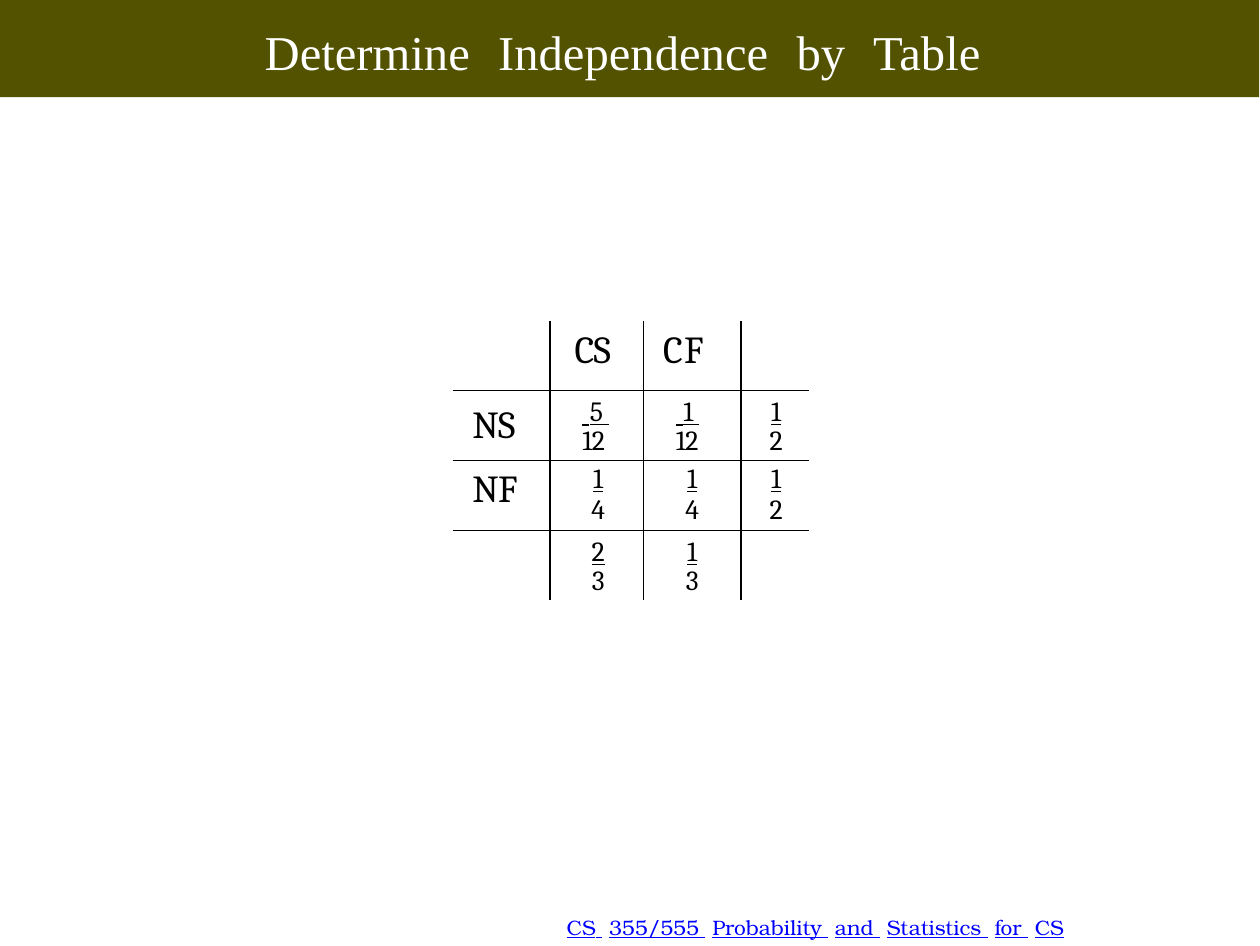
from lxml.etree import SubElement
from pptx import Presentation
from pptx.dml.color import RGBColor
from pptx.enum.shapes import MSO_SHAPE
from pptx.enum.text import MSO_ANCHOR, MSO_AUTO_SIZE, PP_ALIGN
from pptx.oxml.ns import qn
from pptx.util import Cm, Pt

OLIVE, WHITE, BLACK, BLUE = "525200", "FFFFFF", "000000", "0000FF"
SERIF, BODY, FOOT = "Times New Roman", "Cambria", "TeX Gyre Bonum"
NO_STYLE = "{2D5ABB26-0587-4C30-8999-92F81FD0307C}"

TITLE = "Determine Independence by Table"
FOOTER = "CS 355/555 Probability and Statistics for CS"
ROWS = [
    ["", "CS", "CF", ""],
    ["NS", "5/12", "1/12", "1/2"],
    ["NF", "1/4", "1/4", "1/2"],
    ["", "2/3", "1/3", ""],
]
COL_WIDTHS = [0.99, 0.95, 0.99, 0.69]
CENTER_INDENTS = [0, 0.03, 0, 0.03]
ROW_HEIGHT = 0.71
# Per row: top margin (cm), space before (pt), line pitch under the bar (pt)
ROW_SPACING = [(0.08, 2.2, 0), (0.08, 2.1, 8.3), (0.05, 1.1, 8.8), (0.08, 2.1, 8.2)]
# Label: left indent (cm), letter spacing (pt), top margin (cm), space before (pt)
LABELS = {
    "CS": (0.25, -0.2, 0.08, 2.2),
    "CF": (0.2, 0.3, 0.08, 2.2),
    "NS": (0.2, -0.2, 0.13, 3.5),
    "NF": (0.2, -0.2, 0.08, 2.5),
}


def rgb(hex_color):
    return RGBColor.from_string(hex_color)


def add_run(p, text, size, font, color, spacing=0, underline=False):
    """Add a run; spacing is the letter spacing in points."""
    r = p.add_run()
    r.text = text
    r.font.size, r.font.name, r.font.underline = Pt(size), font, underline
    r.font.color.rgb = rgb(color)
    if spacing:
        r.font._element.set("spc", str(round(spacing * 100)))


def add_words(p, text, gap, *style):
    """Add the words of a line with widened spaces between them."""
    for i, word in enumerate(text.split()):
        if i:
            add_run(p, " ", *style[:3], gap, *style[3:])
        add_run(p, word, *style[:3], 0, *style[3:])


def indent(p, cm):
    pPr = p._p.get_or_add_pPr()
    pPr.set("marL", str(Cm(cm)))
    pPr.set("indent", "0")


def set_frame(tf, top=0):
    tf.margin_left = tf.margin_right = tf.margin_bottom = 0
    tf.margin_top = Cm(top)
    tf.word_wrap = True
    tf.auto_size = MSO_AUTO_SIZE.NONE
    tf.vertical_anchor = MSO_ANCHOR.TOP


def set_borders(cell, row, col):
    """Draw only the inner rules of the table."""
    last_row, last_col = len(ROWS) - 1, len(COL_WIDTHS) - 1
    edges = {"L": col > 0, "R": col < last_col, "T": row > 0, "B": row < last_row}
    tcPr = cell._tc.get_or_add_tcPr()
    for side, shown in edges.items():
        ln = SubElement(tcPr, qn(f"a:ln{side}"), w=str(Pt(0.5)))
        if shown:
            fill = SubElement(ln, qn("a:solidFill"))
            SubElement(fill, qn("a:srgbClr"), val=BLACK)
        else:
            SubElement(ln, qn("a:noFill"))


def add_fraction(tf, text, before, pitch, center_indent):
    """Write the numerator underlined, with the denominator below it."""
    top, bottom = text.split("/")
    wide = len(bottom) > 1
    p, q = tf.paragraphs[0], tf.add_paragraph()
    for line in (p, q):
        indent(line, 0.33 if wide else center_indent)
        if not wide:
            line.alignment = PP_ALIGN.CENTER
    p.space_before, p.line_spacing = Pt(before), Pt(8.8)
    q.line_spacing = Pt(pitch)
    if wide:
        add_run(p, " ", 8, SERIF, BLACK, 0.1, True)
    add_run(p, top, 8, BODY, BLACK, -0.5 if wide else 0, True)
    if wide:
        add_run(p, " ", 8, BODY, BLACK, 5, True)
    add_run(q, bottom, 8, BODY, BLACK, -0.2 if wide else 0)


def fill_cell(cell, text, row, col):
    top, before, pitch = ROW_SPACING[row]
    cell.margin_left = cell.margin_right = cell.margin_bottom = 0
    tf = cell.text_frame
    p = tf.paragraphs[0]
    if text in LABELS:
        left, spacing, top, before = LABELS[text]
        indent(p, left)
        p.space_before = Pt(before)
        add_run(p, text, 11, BODY, BLACK, spacing)
    elif text:
        add_fraction(tf, text, before, pitch, CENTER_INDENTS[col])
    else:
        p._p.get_or_add_endParaRPr().set("sz", "800")
    cell.margin_top = Cm(top)


def add_title(slide):
    band = slide.shapes.add_shape(MSO_SHAPE.RECTANGLE, 0, 0, Cm(12.8), Cm(0.99))
    band.shadow.inherit = False
    band.fill.solid()
    band.fill.fore_color.rgb = rgb(OLIVE)
    band.line.fill.background()
    slide.shapes._spTree.insert(2, band._element)

    title = slide.shapes.title
    title.left, title.top, title.width, title.height = Cm(2.66), Cm(0.17), Cm(7.5), Cm(0.69)
    set_frame(title.text_frame, 0.05)
    p = title.text_frame.paragraphs[0]
    p.alignment, p.space_before = PP_ALIGN.LEFT, Pt(1.4)
    indent(p, 0.03)
    add_words(p, TITLE, 4.5, 14, SERIF, WHITE)


def add_probability_table(slide):
    frame = slide.shapes.add_table(len(ROWS), len(COL_WIDTHS), Cm(4.6), Cm(3.26),
                                   Cm(sum(COL_WIDTHS)), Cm(ROW_HEIGHT * len(ROWS)))
    table = frame.table
    table.first_row = table.horz_banding = False
    table._tbl.tblPr.find(qn("a:tableStyleId")).text = NO_STYLE
    for column, width in zip(table.columns, COL_WIDTHS):
        column.width = Cm(width)
    for i, texts in enumerate(ROWS):
        table.rows[i].height = Cm(ROW_HEIGHT)
        for j, text in enumerate(texts):
            cell = table.cell(i, j)
            set_borders(cell, i, j)
            cell.fill.background()
            fill_cell(cell, text, i, j)


def add_footer(slide):
    box = slide.shapes.add_textbox(Cm(5.73), Cm(9.31), Cm(5.3), Cm(0.28))
    set_frame(box.text_frame)
    p = box.text_frame.paragraphs[0]
    p.line_spacing = Pt(6.7)
    indent(p, 0.03)
    add_words(p, FOOTER, 1.9, 6, FOOT, BLUE, True)


def main():
    prs = Presentation()
    prs.slide_width, prs.slide_height = Pt(363), Pt(272.5)
    slide = prs.slides.add_slide(prs.slide_layouts[5])
    add_title(slide)
    add_probability_table(slide)
    add_footer(slide)
    prs.save("out.pptx")


if __name__ == "__main__":
    main()
